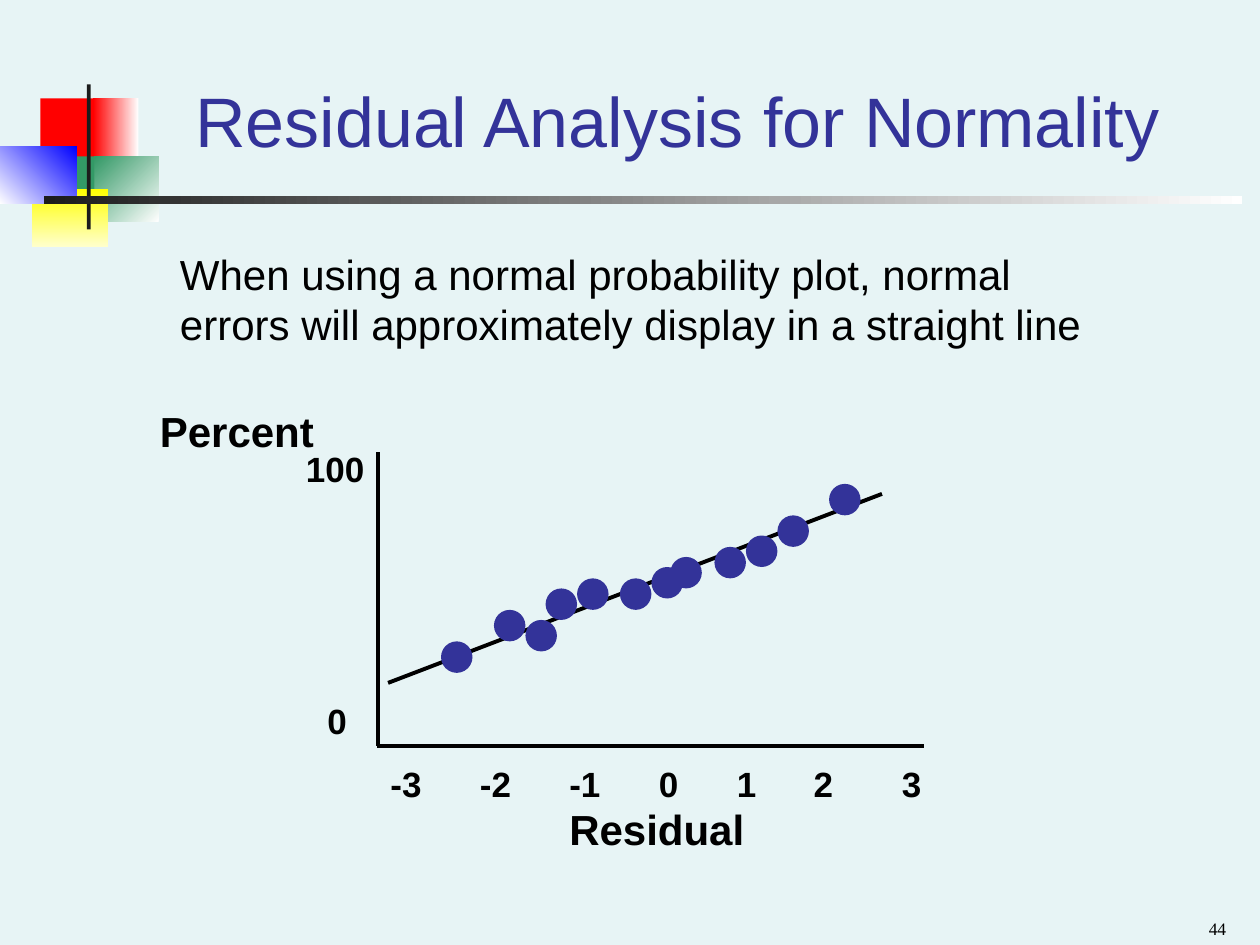
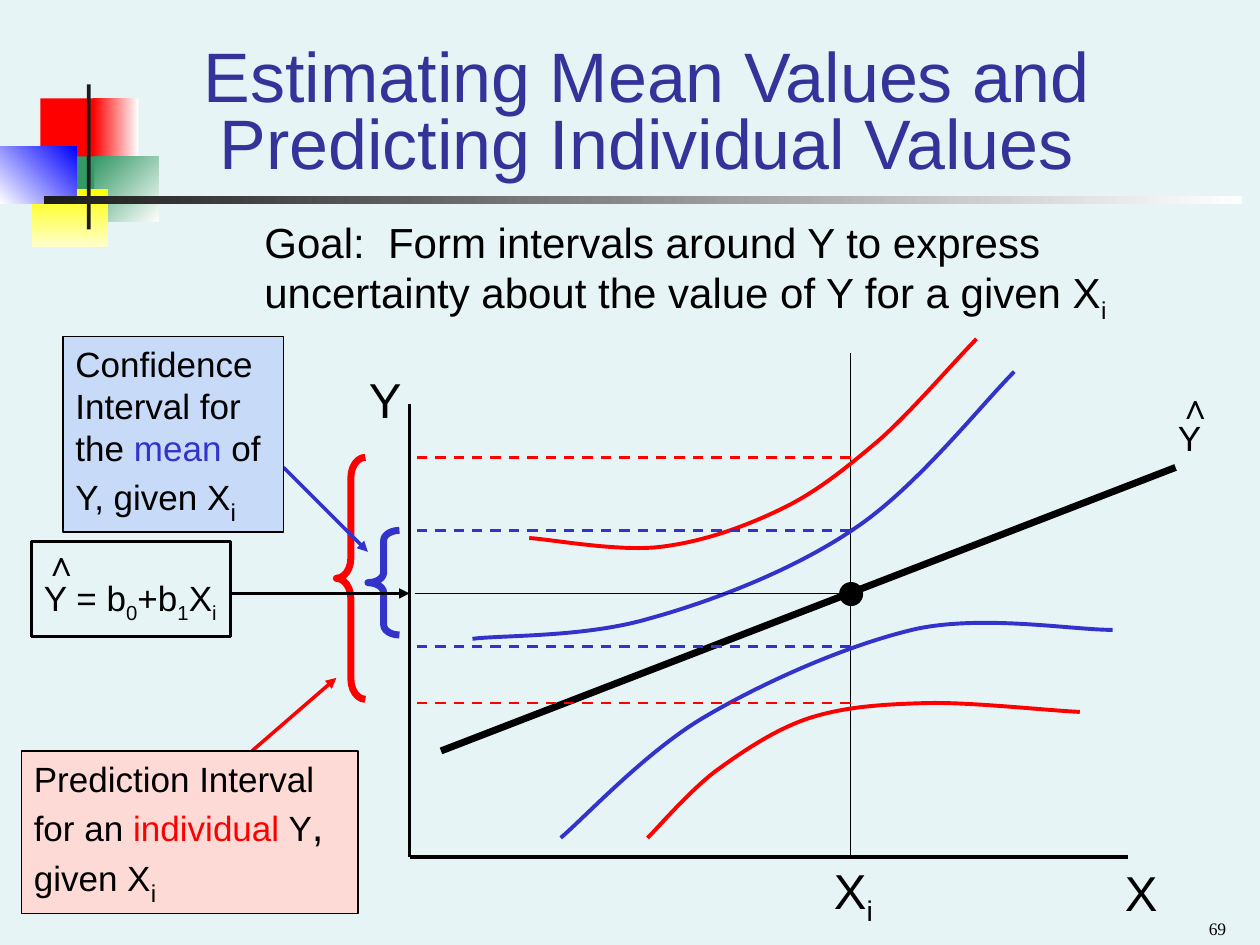
from lxml import etree
from pptx import Presentation
from pptx.dml.color import RGBColor
from pptx.enum import dml, shapes, text
from pptx.oxml import ns
from pptx.util import Inches, Pt

COLORS = {
    "background": "E7F4F5", "title": "333399", "ink": "000000",
    "red": "FF0000", "blue": "3333CC", "white": "FFFFFF",
    "green": "339966", "yellow": "FFFF00", "cream": "FFFFCC",
    "deep blue": "0000FF", "charcoal": "1C1C1C",
    "pale blue": "C7DAF7", "pale red": "FEDAD6",
}
# left, top, width, height, first colour, last colour, clockwise angle
EMBLEM = [
    (0.32, 0.78, 0.48, 0.52, "red", None, 0),
    (0.74, 0.78, 0.36, 0.52, "white", "red", 180),
    (0.75, 1.24, 0.51, 0.52, "white", "green", 225),
    (0.43, 1.24, 0.32, 0.52, "green", None, 0),
    (0.25, 1.5, 0.61, 0.46, "yellow", "cream", 90),
    (0, 1.16, 0.61, 0.46, "deep blue", "white", 135),
    (0.69, 0.67, 0.03, 1.15, "charcoal", None, 0),
    (0.35, 1.56, 9.51, 0.06, "white", "charcoal", 180),
]
RECT = shapes.MSO_SHAPE.RECTANGLE
OVAL = shapes.MSO_SHAPE.OVAL
BRACE = shapes.MSO_SHAPE.LEFT_BRACE
SUB = {"sub": True}
BIG_SUB = {"sub": True, "size": 24}


def rgb(name):
    return RGBColor.from_string(COLORS[name])


def inches(*lengths):
    return [Inches(length) for length in lengths]


class Painter:
    """Holds the style and the current slide."""

    font = "Arial"

    def __init__(self):
        self.deck = Presentation()
        self.deck.slide_width, self.deck.slide_height = inches(10, 7.5)
        fill = self.deck.slide_master.background.fill
        fill.solid()
        fill.fore_color.rgb = rgb("background")
        self.page = None

    def new_page(self, title, place, number, spacing=None):
        self.page = self.deck.slides.add_slide(self.deck.slide_layouts[5])
        for left, top, width, height, first, last, angle in EMBLEM:
            part = self.shape(RECT, (left, top, width, height), first)
            if last:
                part.fill.gradient()
                part.fill.gradient_angle = 360 - angle
                for stop, color in zip(part.fill.gradient_stops, (first, last)):
                    stop.color.rgb = rgb(color)
        box = self.page.shapes.title
        box.left, box.top, box.width, box.height = inches(*place)
        frame = box.text_frame
        frame.text = title
        frame.auto_size = text.MSO_AUTO_SIZE.NONE
        frame.vertical_anchor = text.MSO_ANCHOR.BOTTOM
        para = frame.paragraphs[0]
        para.alignment = text.PP_ALIGN.CENTER
        para.line_spacing = spacing
        self.style(para.runs[0], 40, color="title")
        # Page number
        box = self.text((7.5, 7.15, 2.33, 0.35), number, 10, font="Times New Roman")
        box.text_frame.vertical_anchor = text.MSO_ANCHOR.BOTTOM
        box.text_frame.paragraphs[0].alignment = text.PP_ALIGN.RIGHT

    def style(self, span, size, bold=False, color="ink", sub=False, font=None):
        span.font.name = font or self.font
        span.font.size = Pt(size)
        span.font.bold = bold
        span.font.color.rgb = rgb(color)
        if sub:
            span.font._element.set("baseline", "-25000")

    def outline(self, item, color, weight):
        item.line.color.rgb = rgb(color)
        item.line.width = Pt(weight)

    def shape(self, kind, place, fill=None, line=None, weight=1):
        item = self.page.shapes.add_shape(kind, *inches(*place))
        item.shadow.inherit = False
        if fill:
            item.fill.solid()
            item.fill.fore_color.rgb = rgb(fill)
        else:
            item.fill.background()
        if line:
            self.outline(item, line, weight)
        else:
            item.line.fill.background()
        return item

    def text(self, place, content, size, wrap=True, fill=None, tabs=(), **look):
        """Content is a string or a list of strings and (string, look) pairs."""
        if fill:
            box = self.shape(RECT, place, fill, "ink")
        else:
            box = self.page.shapes.add_textbox(*inches(*place))
        frame = box.text_frame
        frame.word_wrap = wrap
        frame.vertical_anchor = text.MSO_ANCHOR.TOP
        para = frame.paragraphs[0]
        para.alignment = text.PP_ALIGN.LEFT
        if tabs:
            stops = etree.SubElement(para._p.get_or_add_pPr(), ns.qn("a:tabLst"))
            for stop in tabs:
                etree.SubElement(stops, ns.qn("a:tab"), pos=str(Inches(stop)), algn="l")
        for piece in [content] if isinstance(content, str) else content:
            words, extra = (piece, {}) if isinstance(piece, str) else piece
            span = para.add_run()
            span.text = words
            self.style(span, **{"size": size, **look, **extra})
        return box

    def line(self, start, end, weight, color="ink", dashed=False, arrow=False):
        item = self.page.shapes.add_connector(
            shapes.MSO_CONNECTOR.STRAIGHT, *inches(*start, *end))
        self.outline(item, color, weight)
        if dashed:
            item.line.dash_style = dml.MSO_LINE.DASH
        if arrow:
            etree.SubElement(item.line._get_or_add_ln(), ns.qn("a:tailEnd"), type="triangle")
        etree.SubElement(item._element.spPr, ns.qn("a:effectLst"))

    def curve(self, color, points):
        """Smooth line: a start point, then three Bezier points per segment."""
        points = [inches(*point) for point in points]
        builder = self.page.shapes.build_freeform(*points[0], scale=1.0)
        builder.add_line_segments(points[1:], close=False)
        item = builder.convert_to_shape()
        item.shadow.inherit = False
        item.fill.background()
        self.outline(item, color, 2.25)
        steps = list(item._element.iter(ns.qn("a:lnTo")))
        for first in range(0, len(steps), 3):
            bend = etree.Element(ns.qn("a:cubicBezTo"))
            steps[first].addprevious(bend)
            for step in steps[first:first + 3]:
                bend.append(step[0])
                step.getparent().remove(step)

    def brace(self, place, color, bend):
        item = self.shape(BRACE, place, None, color, 4)
        item.adjustments[0] = bend


def normality_page(art):
    art.new_page("Residual Analysis for Normality", (1.42, 0.25, 7.91, 1.08), "44")
    # Axes and fitted line
    art.line((3, 3.59), (3, 5.92), 2)
    art.line((3.08, 5.42), (7, 3.92), 2.25)
    # Residuals
    for left, top in [
        (3.5, 5.09), (5.32, 4.42), (6.17, 4.09), (5.17, 4.5), (5.67, 4.34),
        (5.92, 4.25), (4.58, 4.59), (3.92, 4.84), (4.92, 4.59), (4.33, 4.67),
        (4.17, 4.92), (6.58, 3.84),
    ]:
        art.shape(OVAL, (left, top, 0.25, 0.25), "title")
    # Labels
    art.text((1.17, 3.17, 1.42, 0.5), "Percent", 24, wrap=False, bold=True)
    art.text((4.42, 6.33, 2.33, 0.5), "Residual", 24, bold=True)
    art.line((2.99, 5.92), (7.33, 5.92), 2)
    art.text((1.33, 1.92, 7.42, 0.9),
             "When using a normal probability plot, normal errors will "
             "approximately display in a straight line", 24)
    art.text((3, 6, 4.75, 0.43), "\t".join(str(tick) for tick in range(-3, 4)), 20,
             bold=True, tabs=(0.71, 1.42, 2.13, 2.75, 3.36, 4.06))
    art.text((2.5, 5.5, 0.5, 0.43), "0", 20, bold=True)
    art.text((2.33, 3.5, 0.67, 0.43), "100", 20, bold=True)


def interval_page(art):
    art.new_page("Estimating Mean Values and Predicting Individual Values",
                 (1.26, 0.42, 7.74, 1.08), "69", spacing=0.8)
    # Axes and regression line
    art.line((3.25, 3.21), (3.25, 6.8), 2)
    art.line((3.25, 6.8), (8.95, 6.8), 2)
    art.line((3.5, 5.96), (9.33, 3.71), 4)
    art.text((2.83, 2.88, 0.7, 0.56), "Y", 28)
    art.text((8.83, 6.8, 1.01, 0.56), "X", 28)
    art.line((6.75, 2.8), (6.75, 6.8), 1)
    art.text((6.52, 6.78, 0.65, 0.63), ["X", ("i", SUB)], 28)
    # Interval braces and their arrows
    art.brace((2.67, 3.63, 0.23, 1.92), "red", 0.7)
    art.line((2, 5.96), (2.67, 5.38), 2, "red", arrow=True)
    art.brace((2.92, 4.21, 0.25, 0.83), "blue", 0.32)
    art.line((2.25, 3.71), (2.92, 4.38), 2, "blue", arrow=True)
    # Regression equation
    art.text((0.25, 4.53, 1.75, 0.48),
             ["Y = b", ("0", SUB), "+b", ("1", SUB), "X", ("i", SUB)], 20)
    art.text((0.25, 4.25, 1.16, 0.43), "∧", 20, bold=True)
    # Interval limits
    art.curve("blue", [(4.45, 6.65), (4.64, 6.49), (5.14, 5.95), (5.61, 5.68),
                       (6.09, 5.4), (6.75, 5.11), (7.28, 4.99),
                       (7.82, 4.88), (8.51, 5), (8.83, 5)])
    art.curve("red", [(5.14, 6.65), (5.23, 6.56), (5.47, 6.28), (5.68, 6.12),
                      (5.9, 5.96), (6.15, 5.79), (6.42, 5.7),
                      (6.7, 5.61), (6.99, 5.59), (7.35, 5.58),
                      (7.7, 5.57), (8.32, 5.64), (8.57, 5.65)])
    art.curve("red", [(4.2, 4.27), (4.37, 4.28), (4.91, 4.38), (5.24, 4.34),
                      (5.58, 4.3), (5.91, 4.18), (6.2, 4.04),
                      (6.49, 3.9), (6.72, 3.71), (6.98, 3.49),
                      (7.24, 3.26), (7.59, 2.85), (7.75, 2.69)])
    art.curve("blue", [(3.75, 5.07), (3.98, 5.04), (4.64, 5.06), (5.15, 4.91),
                       (5.66, 4.77), (6.31, 4.52), (6.79, 4.19),
                       (7.28, 3.86), (7.79, 3.21), (8.05, 2.95)])
    # Explanations and the predicted point
    art.text((0.5, 2.67, 1.75, 1.55),
             ["Confidence Interval for the ", ("mean", {"color": "blue"}),
              " of Y, given X", ("i", BIG_SUB)], 20, fill="pale blue")
    art.line((6.75, 4.71), (3.29, 4.71), 1)
    art.shape(OVAL, (6.67, 4.63, 0.17, 0.17), "ink", "ink", 1.5)
    art.text((0.17, 5.96, 2.67, 1.29),
             ["Prediction Interval for an ", ("individual", {"color": "red"}),
              " Y", (",", {"size": 24}), " given X", ("i", BIG_SUB)],
             20, fill="pale red")
    for height, color in [(3.63, "red"), (5.58, "red"), (5.13, "blue"), (4.21, "blue")]:
        art.line((6.75, height), (3.29, height), 1.5, color, dashed=True)
    art.line((1.83, 4.71), (3.25, 4.71), 1.5, arrow=True)
    art.shape(RECT, (0.25, 4.3, 1.58, 0.75), None, "ink", 1.5)
    # Goal and line label
    art.text((2, 1.67, 7.08, 0.96),
             ["Goal:  Form intervals around Y to express uncertainty about "
              "the value of Y for a given X", ("i", SUB)], 24)
    art.text((9.25, 3.26, 0.3, 0.43), "Y", 20)
    art.text((9.25, 3, 0.42, 0.43), "∧", 20, bold=True)


def main():
    art = Painter()
    normality_page(art)
    interval_page(art)
    art.deck.save("out.pptx")


if __name__ == "__main__":
    main()
